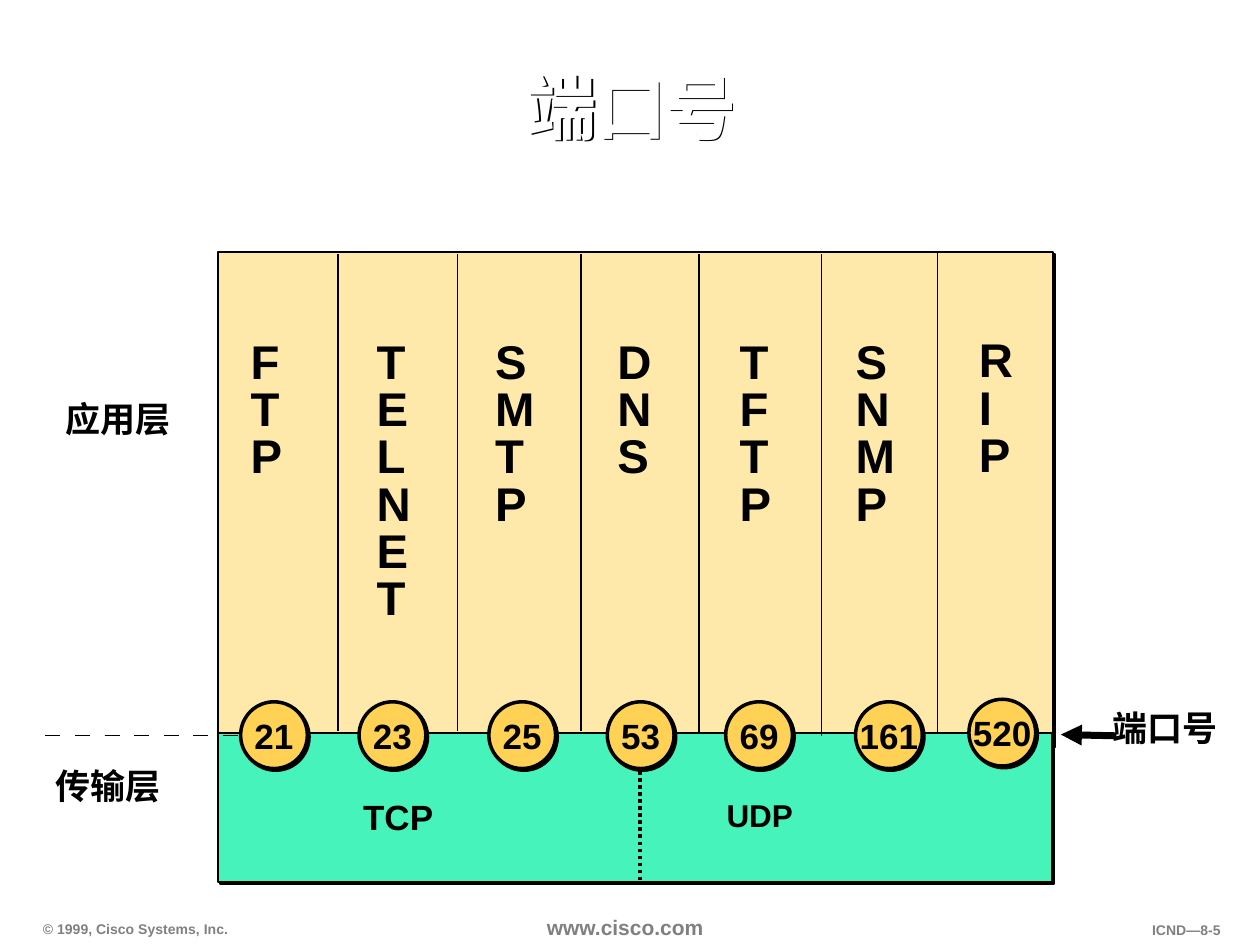
from lxml import etree
from pptx import Presentation
from pptx.dml.color import RGBColor
from pptx.enum.dml import MSO_LINE
from pptx.enum.shapes import MSO_CONNECTOR, MSO_SHAPE
from pptx.enum.text import MSO_ANCHOR, MSO_AUTO_SIZE, PP_ALIGN
from pptx.oxml.ns import qn
from pptx.util import Inches, Pt

STRAIGHT = MSO_CONNECTOR.STRAIGHT
RECTANGLE, OVAL = MSO_SHAPE.RECTANGLE, MSO_SHAPE.OVAL
DOTTED = MSO_LINE.ROUND_DOT
TOP, MIDDLE, BOTTOM = MSO_ANCHOR.TOP, MSO_ANCHOR.MIDDLE, MSO_ANCHOR.BOTTOM
LEFT, CENTER, RIGHT = PP_ALIGN.LEFT, PP_ALIGN.CENTER, PP_ALIGN.RIGHT
NO_FIT, GROW = MSO_AUTO_SIZE.NONE, MSO_AUTO_SIZE.SHAPE_TO_FIT_TEXT

FONT = "Arial"
BLACK, WHITE, GRAY = "000000", "FFFFFF", "808080"
SAND, GREEN, GOLD = "FFE9AA", "45F3BB", "FFD255"

SERVICES = [
    ("FTP", 1.97, 2.68, "21", 1.91, 5.57),
    ("TELNET", 2.97, 2.68, "23", 2.85, 5.57),
    ("SMTP", 3.91, 2.68, "25", 3.88, 5.57),
    ("DNS", 4.88, 2.68, "53", 4.82, 5.57),
    ("TFTP", 5.85, 2.68, "69", 5.76, 5.57),
    ("SNMP", 6.77, 2.68, "161", 6.79, 5.57),
    ("RIP", 7.75, 2.67, "520", 7.69, 5.55),
]
LABELS = [
    ("应用层", 0, 3.13, 1.88, 0.88, 20, 23.6),
    ("传输层", -0.08, 6.04, 1.88, 0.87, 20, 23.6),
    ("端口号", 8.5, 5.58, 1.5, 0.87, 20, 23.6),
    ("TCP", 1.77, 6.29, 2.78, 0.55, 20, 23.6),
    ("UDP", 5.49, 6.29, 1.08, 0.52, 18, 21.4),
]
FOOTERS = [
    ("© 1999, Cisco Systems, Inc.", 0.25, 7.26, 1.68, 0.22, 8, LEFT, BOTTOM, False),
    ("www.cisco.com", 4.25, 7.22, 1.5, 0.28, 12, LEFT, TOP, True),
    ("ICND—8-5", 8.58, 7.27, 1.2, 0.22, 8, RIGHT, TOP, False),
]
DIVIDERS = [(2.68, 5.8), (3.63, 5.8), (4.61, 5.8), (5.55, 5.82), (6.52, 5.84)]


def color(value):
    return RGBColor.from_string(value)


def add_shadow(shape):
    effects = etree.SubElement(shape._element.spPr, qn("a:effectLst"))
    shadow = etree.SubElement(effects, qn("a:outerShdw"), dist=str(Pt(1.4)), dir="2700000")
    etree.SubElement(shadow, qn("a:srgbClr"), val=BLACK)


def write_text(shape, text, size, font_color=BLACK, align=LEFT, spacing=None,
               anchor=TOP, insets=(0.02, 0.03), wrap=False, fit=NO_FIT):
    frame = shape.text_frame
    frame.word_wrap = wrap
    frame.auto_size = fit
    frame.vertical_anchor = anchor
    frame.margin_left = frame.margin_right = Inches(insets[0])
    frame.margin_top = frame.margin_bottom = Inches(insets[1])
    paragraph = frame.paragraphs[0]
    paragraph.text = text
    paragraph.alignment = align
    paragraph.line_spacing = spacing
    for run in paragraph.runs:
        run.font.size = Pt(size)
        run.font.bold = True
        run.font.color.rgb = color(font_color)
        run.font.name = FONT


def add_text(slide, text, left, top, width, height, size, **options):
    box = slide.shapes.add_textbox(Inches(left), Inches(top), Inches(width), Inches(height))
    write_text(box, text, size, **options)


def add_shadowed_shape(slide, kind, left, top, width, height, fill, line_width):
    shape = slide.shapes.add_shape(kind, Inches(left), Inches(top), Inches(width), Inches(height))
    shape.fill.solid()
    shape.fill.fore_color.rgb = color(fill)
    shape.line.color.rgb = color(BLACK)
    shape.line.width = Pt(line_width)
    add_shadow(shape)
    return shape


def add_line(slide, start, end, width, dash=None, arrow=False):
    connector = slide.shapes.add_connector(
        STRAIGHT, *(Inches(value) for value in (*start, *end)))
    line = connector.line
    line.color.rgb = color(BLACK)
    line.width = Pt(width)
    if dash:
        line.dash_style = dash
    if arrow:
        etree.SubElement(line._get_or_add_ln(), qn("a:tailEnd"), type="triangle")
    etree.SubElement(connector._element.spPr, qn("a:effectLst"))


def add_title(slide):
    title = slide.shapes.title
    title.left, title.top = Inches(0.84), Inches(0.26)
    title.width, title.height = Inches(8.34), Inches(1.25)
    title.fill.background()
    title.line.fill.background()
    add_shadow(title)
    write_text(title, "端口号", 40, WHITE, CENTER, 0.9, MIDDLE, (0.09, 0.04), True)


def add_panels(slide):
    add_shadowed_shape(slide, RECTANGLE, 1.73, 2, 5.72, 3.86, SAND, 1)
    add_shadowed_shape(slide, RECTANGLE, 7.44, 2, 0.92, 3.92, SAND, 1)
    add_shadowed_shape(slide, RECTANGLE, 1.73, 5.82, 6.62, 1.18, GREEN, 1)
    for x, bottom in DIVIDERS:
        add_line(slide, (x, 2.02), (x, bottom), 1)


def add_layer_boundary(slide):
    for index in range(8):
        x = 0.36 + index * 0.235
        add_line(slide, (x, 5.84), (x + 0.12, 5.84), 0.75)
    add_line(slide, (8.86, 5.84), (8.42, 5.83), 4, arrow=True)


def add_service(slide, name, left, top, port, port_left, port_top):
    add_text(slide, "\n".join(name), left, top, 0.56, 0.2 + 0.38 * len(name), 27, spacing=Pt(27))
    circle = add_shadowed_shape(slide, OVAL, port_left, port_top, 0.53, 0.53, GOLD, 2)
    write_text(circle, port, 20, align=CENTER, anchor=MIDDLE, insets=(0.11, 0.06))


def main():
    presentation = Presentation()
    presentation.slide_width, presentation.slide_height = Inches(10), Inches(7.5)
    slide = presentation.slides.add_slide(presentation.slide_layouts[5])
    for text, left, top, width, height, size, align, anchor, wrap in FOOTERS:
        add_text(slide, text, left, top, width, height, size, font_color=GRAY, align=align,
                 anchor=anchor, insets=(0.09, 0.04), wrap=wrap, fit=GROW)
    add_title(slide)
    add_panels(slide)
    for text, left, top, width, height, size, spacing in LABELS:
        add_text(slide, text, left, top, width, height, size, align=CENTER, spacing=Pt(spacing))
    add_layer_boundary(slide)
    for service in SERVICES:
        add_service(slide, *service)
    add_line(slide, (5.08, 6.12), (5.08, 7.01), 2, dash=DOTTED)
    presentation.save("out.pptx")


if __name__ == "__main__":
    main()
